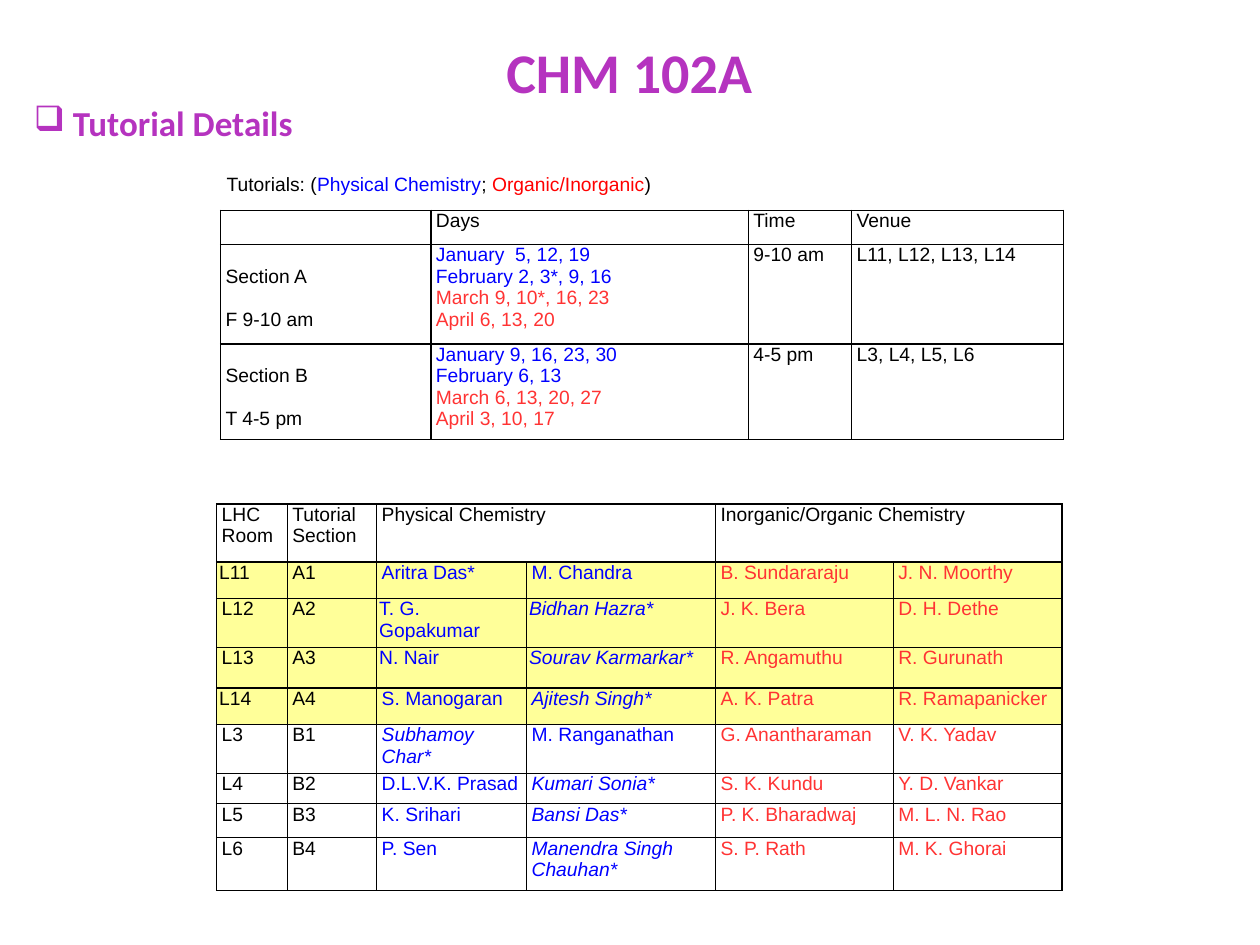
from lxml.etree import SubElement
from pptx import Presentation
from pptx.dml.color import RGBColor
from pptx.enum.text import MSO_ANCHOR
from pptx.oxml.ns import qn
from pptx.util import Inches, Pt

PURPLE = RGBColor(0xB5, 0x33, 0xBF)
BLACK = RGBColor(0, 0, 0)
BLUE = RGBColor(0, 0, 0xFF)
RED = RGBColor(0xFF, 0, 0)
CORAL = RGBColor(0xFF, 0x33, 0x33)
YELLOW = RGBColor(0xFF, 0xFF, 0x99)

SCHEDULE = [
    ("Section A F 9-10 am",
     ["January  5, 12, 19", "February 2, 3*, 9, 16"],
     ["March 9, 10*, 16, 23", "April 6, 13, 20"],
     "9-10 am", "L11, L12, L13, L14"),
    ("Section B T 4-5 pm",
     ["January 9, 16, 23, 30", "February 6, 13"],
     ["March 6, 13, 20, 27", "April 3, 10, 17"],
     "4-5 pm", "L3, L4, L5, L6"),
]
TUTORS = [
    ("L11", "A1", "Aritra Das*", "M. Chandra", "B. Sundararaju", "J. N. Moorthy"),
    ("L12", "A2", "T. G.\nGopakumar", "Bidhan Hazra*", "J. K. Bera", "D. H. Dethe"),
    ("L13", "A3", "N. Nair", "Sourav Karmarkar*", "R. Angamuthu", "R. Gurunath"),
    ("L14", "A4", "S. Manogaran", "Ajitesh Singh*", "A. K. Patra", "R. Ramapanicker"),
    ("L3", "B1", "Subhamoy Char*", "M. Ranganathan", "G. Anantharaman", "V. K. Yadav"),
    ("L4", "B2", "D.L.V.K. Prasad", "Kumari Sonia*", "S. K. Kundu", "Y. D. Vankar"),
    ("L5", "B3", "K. Srihari", "Bansi Das*", "P. K. Bharadwaj", "M. L. N. Rao"),
    ("L6", "B4", "P. Sen", "Manendra Singh Chauhan*", "S. P. Rath", "M. K. Ghorai"),
]
TUTOR_COLORS = [BLACK, BLACK, BLUE, BLUE, CORAL, CORAL]
UPRIGHT_STARRED = "Aritra Das*"
NARROW_INDENT = {"L11", "L14", "T. G.\nGopakumar", "N. Nair",
                 "Bidhan Hazra*", "Sourav Karmarkar*"}


def style_font(font, size, name, color=None, bold=False, italic=False):
    font.size = Pt(size)
    font.name = name
    font.bold = bold
    font.italic = italic
    if color is not None:
        font.color.rgb = color


def add_text(slide, left, top, width, height, wrap=False):
    box = slide.shapes.add_textbox(
        Inches(left), Inches(top), Inches(width), Inches(height))
    box.text_frame.word_wrap = wrap
    return box.text_frame


def add_heading(slide, text, size, left, top, width, height, bullet=None):
    paragraph = add_text(slide, left, top, width, height).paragraphs[0]
    paragraph.text = text
    if bullet:
        properties = paragraph._p.get_or_add_pPr()
        properties.set("marL", str(Inches(0.31)))
        properties.set("indent", str(-Inches(0.31)))
        SubElement(properties, qn("a:buChar")).set("char", bullet)
    style_font(paragraph.font, size, "Calibri", PURPLE, bold=True)


def add_legend(slide):
    frame = add_text(slide, 1.7, 1.31, 4.77, 0.29, wrap=True)
    frame.vertical_anchor = MSO_ANCHOR.MIDDLE
    paragraph = frame.paragraphs[0]
    style_font(paragraph.font, 11, "Arial")
    for text, color in [("Tutorials: (", BLACK), ("Physical Chemistry", BLUE),
                        ("; ", BLACK), ("Organic/Inorganic", RED), (")", BLACK)]:
        run = paragraph.add_run()
        run.text = text
        run.font.color.rgb = color


def outline_cell(cell):
    properties = cell._tc.get_or_add_tcPr()
    for position, side in enumerate(("lnL", "lnR", "lnT", "lnB")):
        line = SubElement(properties, qn(f"a:{side}"))
        line.set("w", str(Pt(1)))
        fill = SubElement(line, qn("a:solidFill"))
        SubElement(fill, qn("a:srgbClr")).set("val", str(BLACK))
        properties.remove(line)
        properties.insert(position, line)


def add_grid(slide, left, top, widths, heights):
    frame = slide.shapes.add_table(
        len(heights), len(widths), Inches(left), Inches(top),
        Inches(sum(widths)), Inches(sum(heights)))
    grid = frame.table
    grid.first_row = grid.horz_banding = False
    for column, width in zip(grid.columns, widths):
        column.width = Inches(width)
    for row, height in zip(grid.rows, heights):
        row.height = Inches(height)
    for cell in grid.iter_cells():
        cell.margin_left = Inches(0.04)
        cell.margin_right = cell.margin_top = cell.margin_bottom = 0
        cell.fill.background()
        outline_cell(cell)
        cell.text_frame.paragraphs[0]._p.get_or_add_endParaRPr().set("sz", "1100")
    return grid


def fill_cell(cell, lines, italic=False):
    frame = cell.text_frame
    for index, (text, color) in enumerate(lines):
        paragraph = frame.add_paragraph() if index else frame.paragraphs[0]
        paragraph.text = text
        style_font(paragraph.font, 11, "Arial", color, italic=italic)


def add_tutors(slide):
    grid = add_grid(slide, 1.72, 4, [0.56, 0.71, 1.19, 1.5, 1.41, 1.34],
                    [0.46, 0.29, 0.39, 0.32, 0.29, 0.39, 0.24, 0.27, 0.42])
    for column in (2, 4):
        grid.cell(0, column).merge(grid.cell(0, column + 1))
    fill_cell(grid.cell(0, 0), [("LHC", BLACK), ("Room", BLACK)])
    for column, title in [(1, "Tutorial Section"), (2, "Physical Chemistry"),
                          (4, "Inorganic/Organic Chemistry")]:
        fill_cell(grid.cell(0, column), [(title, BLACK)])
    for row, entries in enumerate(TUTORS, 1):
        for column, (entry, color) in enumerate(zip(entries, TUTOR_COLORS)):
            cell = grid.cell(row, column)
            italic = entry.endswith("*") and entry != UPRIGHT_STARRED
            fill_cell(cell, [(line, color) for line in entry.split("\n")], italic)
            if italic:
                cell.margin_right = Inches(0.1)
            if entry in NARROW_INDENT:
                cell.margin_left = Inches(0.02)
            if entries[1].startswith("A"):
                cell.fill.solid()
                cell.fill.fore_color.rgb = YELLOW


def add_schedule(slide):
    grid = add_grid(slide, 1.75, 1.67, [1.67, 2.52, 0.82, 1.68], [0.27, 0.79, 0.76])
    for column, title in enumerate(["Days", "Time", "Venue"], 1):
        fill_cell(grid.cell(0, column), [(title, BLACK)])
    for row, (section, physical, organic, time, venue) in enumerate(SCHEDULE, 1):
        section_cell = grid.cell(row, 0)
        fill_cell(section_cell, [(section, BLACK)])
        section_cell.margin_right = Inches(0.9)
        section_cell.text_frame.paragraphs[0].line_spacing = 2.0
        fill_cell(grid.cell(row, 1), [(days, BLUE) for days in physical]
                  + [(days, CORAL) for days in organic])
        fill_cell(grid.cell(row, 2), [(time, BLACK)])
        fill_cell(grid.cell(row, 3), [(venue, BLACK)])


def main():
    deck = Presentation()
    deck.slide_width, deck.slide_height = Inches(10), Inches(7.5)
    slide = deck.slides.add_slide(deck.slide_layouts[6])
    add_heading(slide, "CHM 102A", 32, 3.92, 0.25, 2.17, 0.64)
    add_heading(slide, "Tutorial Details", 20, 0.17, 0.76, 2.27, 0.44, bullet="❑")
    add_tutors(slide)
    add_schedule(slide)
    add_legend(slide)
    deck.save("out.pptx")


if __name__ == "__main__":
    main()
